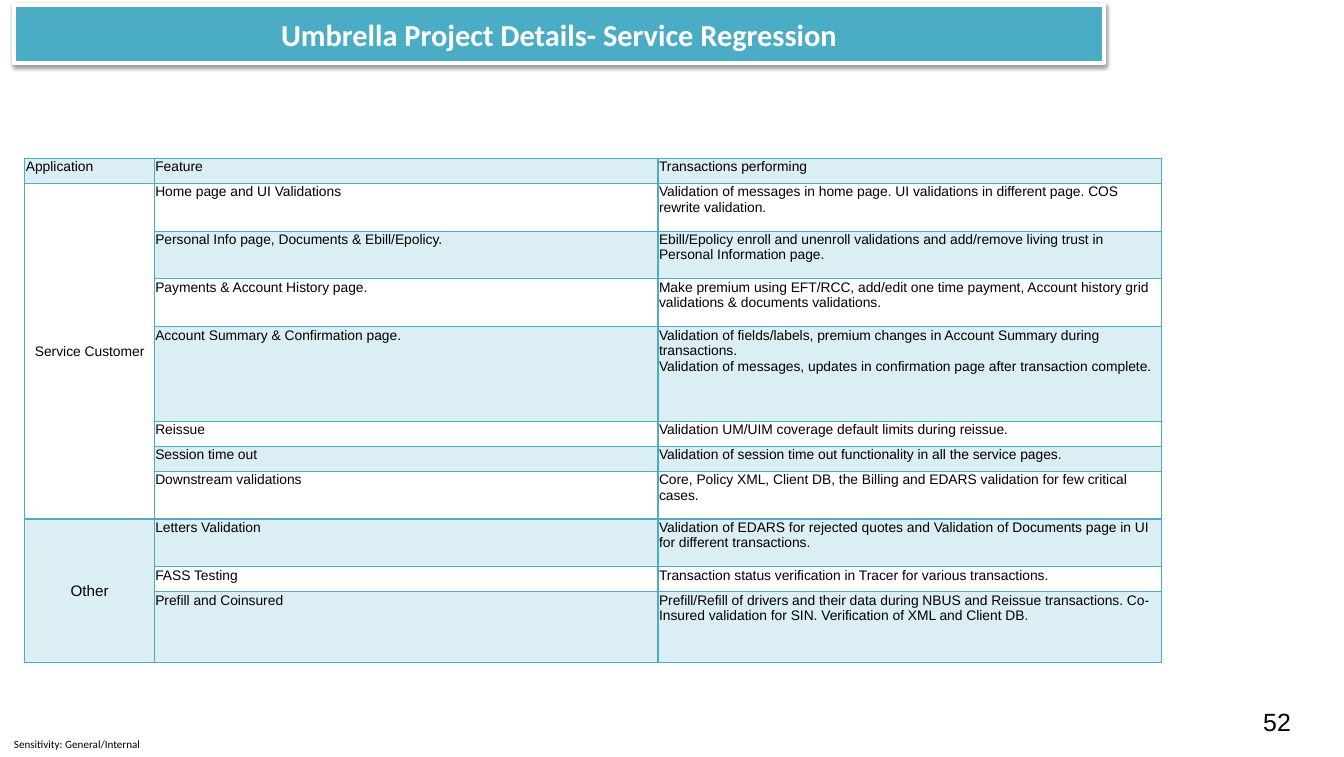
from lxml.etree import SubElement
from pptx import Presentation
from pptx.dml.color import RGBColor
from pptx.enum.text import MSO_ANCHOR, MSO_AUTO_SIZE, PP_ALIGN
from pptx.oxml.ns import qn
from pptx.util import Inches, Pt

COLORS = {"teal": "4BACC6", "white": "FFFFFF", "black": "000000"}
HEADS = ["Application", "Feature", "Transactions performing"]
GROUPS = [
    ("Service Customer", 10, [
        ("Home page and UI Validations",
         "Validation of messages in home page. UI validations in different page. COS rewrite validation.", 0.48),
        ("Personal Info page, Documents & Ebill/Epolicy.",
         "Ebill/Epolicy enroll and unenroll validations and add/remove living trust in "
         "Personal Information page.", 0.48),
        ("Payments & Account History page.",
         "Make premium using EFT/RCC, add/edit one time payment, Account history grid "
         "validations & documents validations.", 0.48),
        ("Account Summary & Confirmation page.",
         "Validation of fields/labels, premium changes in Account Summary during transactions.\n"
         "Validation of messages, updates in confirmation page after transaction complete.", 0.95),
        ("Reissue", "Validation UM/UIM coverage default limits during reissue.", 0.25),
        ("Session time out",
         "Validation of session time out functionality in all the service pages.", 0.25),
        ("Downstream validations",
         "Core, Policy XML, Client DB, the Billing and EDARS validation for few critical cases.", 0.48),
    ]),
    ("Other", 11, [
        ("Letters Validation",
         "Validation of EDARS for rejected quotes and Validation of Documents page in UI "
         "for different transactions.", 0.48),
        ("FASS Testing", "Transaction status verification in Tracer for various transactions.", 0.25),
        ("Prefill and Coinsured",
         "Prefill/Refill of drivers and their data during NBUS and Reissue transactions. "
         "Co-Insured validation for SIN. Verification of XML and Client DB.", 0.71),
    ]),
]


def rgb(name):
    return RGBColor.from_string(COLORS[name])


def add_color(parent, name, alpha=100):
    tint = SubElement(parent, qn("a:srgbClr"), val=COLORS[name])
    SubElement(tint, qn("a:alpha"), val=str(alpha * 1000))


def write(frame, text, size=10, font="Arial", color="black", bold=False,
          align=PP_ALIGN.LEFT, anchor=MSO_ANCHOR.TOP):
    frame.word_wrap = True
    frame.vertical_anchor = anchor
    para = frame.paragraphs[0]
    para.text = text
    para.alignment = align
    for run in para.runs:
        run.font.size = Pt(size)
        run.font.name = font
        run.font.bold = bold
        run.font.color.rgb = rgb(color)
    for br in para._p.findall(qn("a:br")):
        SubElement(br, qn("a:rPr"), sz=str(size * 100))


class Deck:
    def __init__(self, width, height):
        self.show = Presentation()
        self.show.slide_width = Inches(width)
        self.show.slide_height = Inches(height)
        self.slide = self.show.slides.add_slide(self.show.slide_layouts[5])

    def title(self, text, left, top, width, height):
        bar = self.slide.shapes.title
        bar.left, bar.top = Inches(left), Inches(top)
        bar.width, bar.height = Inches(width), Inches(height)
        bar.fill.solid()
        bar.fill.fore_color.rgb = rgb("teal")
        bar.line.color.rgb = rgb("white")
        bar.line.width = Pt(3)
        effects = SubElement(bar._element.spPr, qn("a:effectLst"))
        shade = SubElement(effects, qn("a:outerShdw"), blurRad=str(Pt(3.1)),
                           dist=str(Pt(1.6)), dir="5400000", rotWithShape="0")
        add_color(shade, "black", 38)
        bar.text_frame.auto_size = MSO_AUTO_SIZE.NONE
        write(bar.text_frame, text, size=22, font="Calibri", color="white", bold=True,
              align=PP_ALIGN.CENTER, anchor=MSO_ANCHOR.MIDDLE)

    def label(self, text, left, top, width, height, inset=None, **style):
        box = self.slide.shapes.add_textbox(
            Inches(left), Inches(top), Inches(width), Inches(height))
        frame = box.text_frame
        if inset is not None:
            frame.margin_left = frame.margin_right = Inches(inset)
            frame.margin_top = frame.margin_bottom = Inches(inset)
        write(frame, text, **style)

    def cell(self, cell, text, shaded, **style):
        cell.margin_left = cell.margin_right = cell.margin_top = Inches(0.01)
        cell.margin_bottom = 0
        write(cell.text_frame, text, **style)
        cell.vertical_anchor = style.get("anchor", MSO_ANCHOR.TOP)
        props = cell._tc.get_or_add_tcPr()
        for side in ("lnL", "lnR", "lnT", "lnB"):
            edge = SubElement(props, qn(f"a:{side}"), w=str(Pt(1)))
            add_color(SubElement(edge, qn("a:solidFill")), "teal")
        if shaded:
            add_color(SubElement(props, qn("a:solidFill")), "teal", 20)
        else:
            cell.fill.background()

    def table(self, heads, groups, left, top, widths):
        heights = [0.25] + [row[2] for group in groups for row in group[2]]
        grid = self.slide.shapes.add_table(
            len(heights), len(widths), Inches(left), Inches(top),
            Inches(sum(widths)), Inches(sum(heights))).table
        grid.first_row = grid.horz_banding = False
        for col, width in zip(grid.columns, widths):
            col.width = Inches(width)
        for row, height in zip(grid.rows, heights):
            row.height = Inches(height)
        for col, head in enumerate(heads):
            self.cell(grid.cell(0, col), head, True)
        row = 1
        for name, size, items in groups:
            first = row
            for feature, task, _ in items:
                head = name if row == first else ""
                self.cell(grid.cell(row, 0), head, first % 2 == 0, size=size,
                          align=PP_ALIGN.CENTER, anchor=MSO_ANCHOR.MIDDLE)
                self.cell(grid.cell(row, 1), feature, row % 2 == 0)
                self.cell(grid.cell(row, 2), task, row % 2 == 0)
                row += 1
            grid.cell(first, 0).merge(grid.cell(row - 1, 0))


def main():
    deck = Deck(13.5, 7.6)
    deck.label("Sensitivity: General/Internal", 0.14, 7.35, 1.41, 0.25, inset=0,
               size=8, font="Calibri", anchor=MSO_ANCHOR.MIDDLE)
    deck.label("52", 12.59, 7.05, 0.67, 0.4, size=18)
    deck.title("Umbrella Project Details- Service Regression", 0.14, 0.05, 10.95, 0.58)
    deck.table(HEADS, GROUPS, 0.25, 1.59, [1.3, 5.06, 5.06])
    deck.show.save("out.pptx")


if __name__ == "__main__":
    main()
